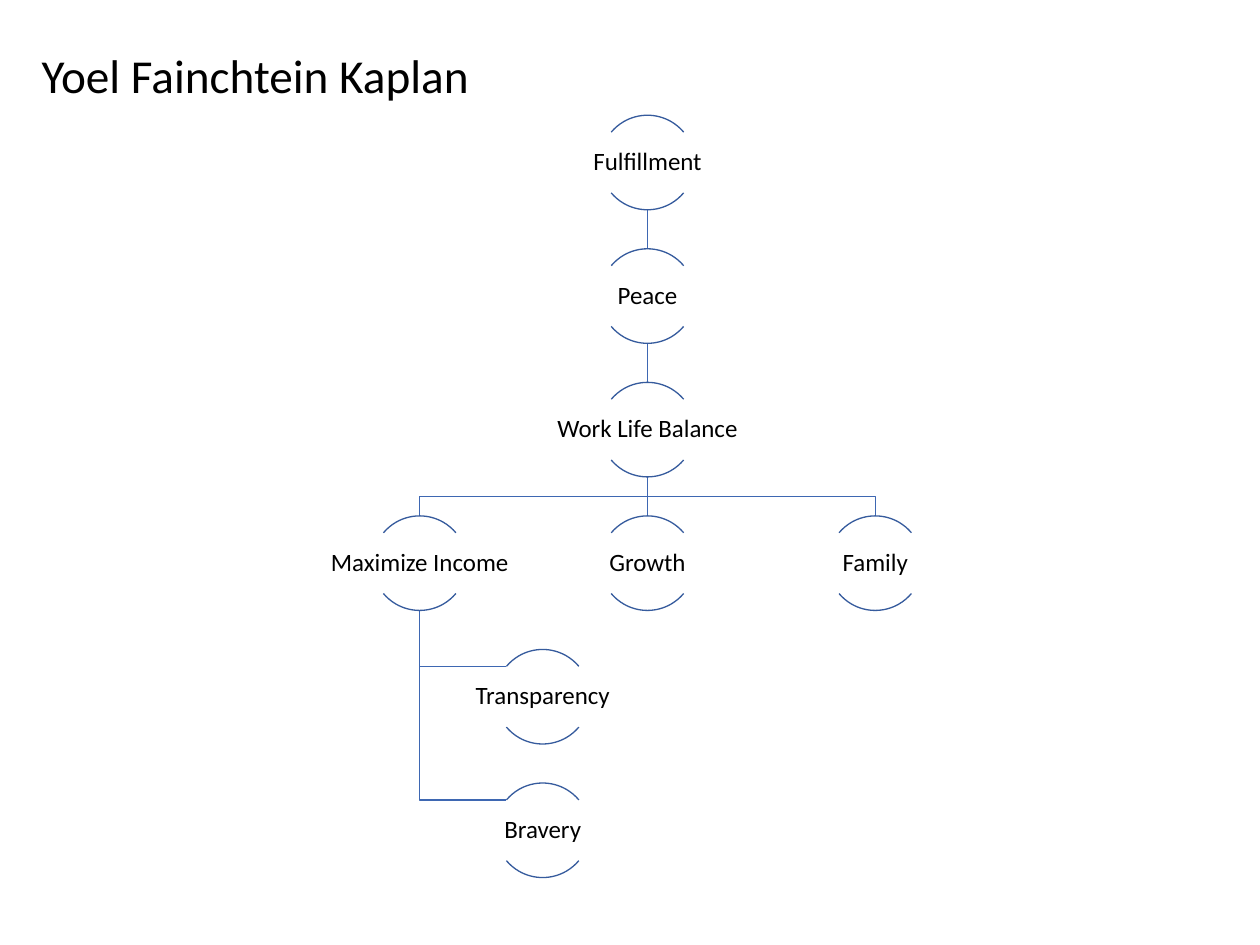
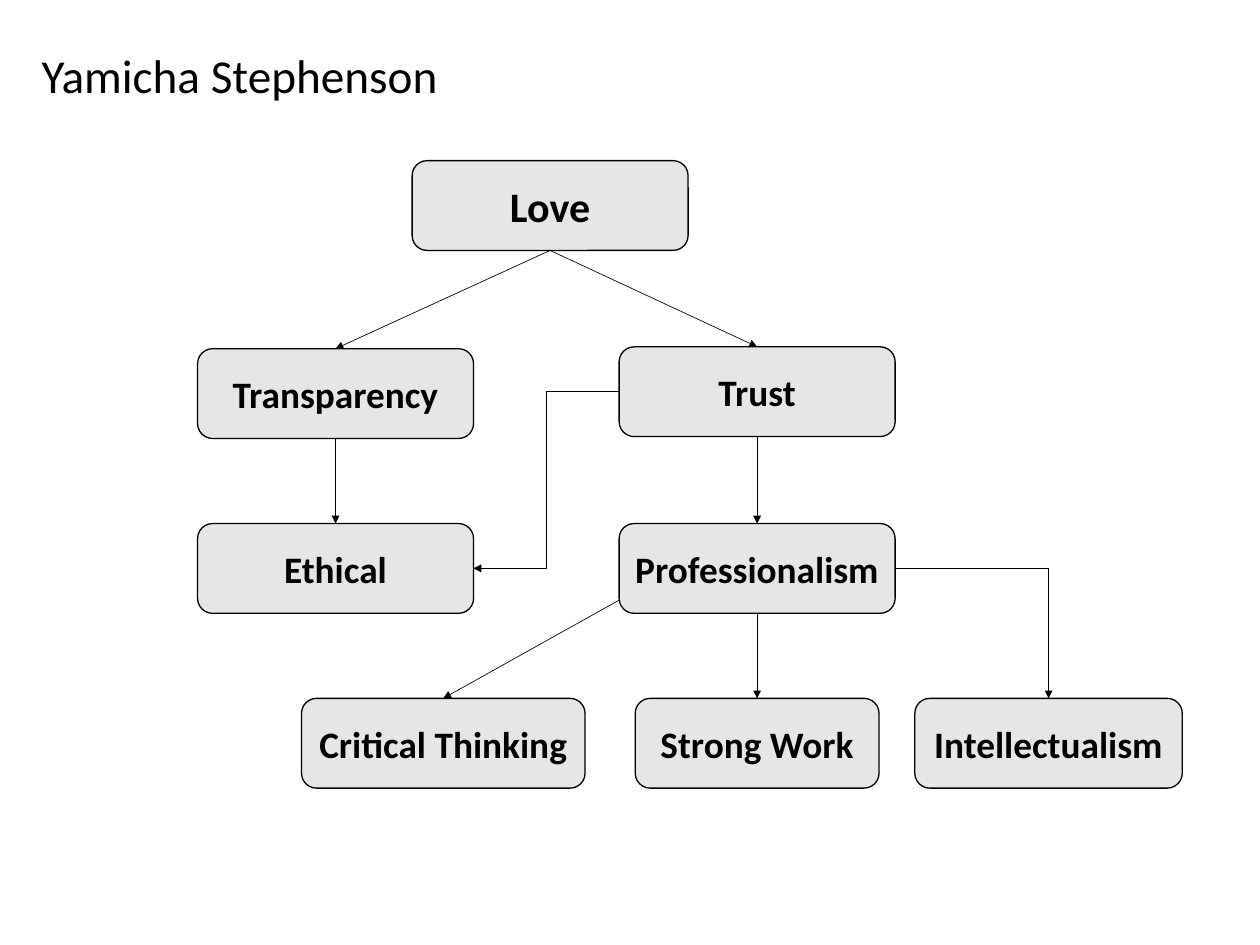
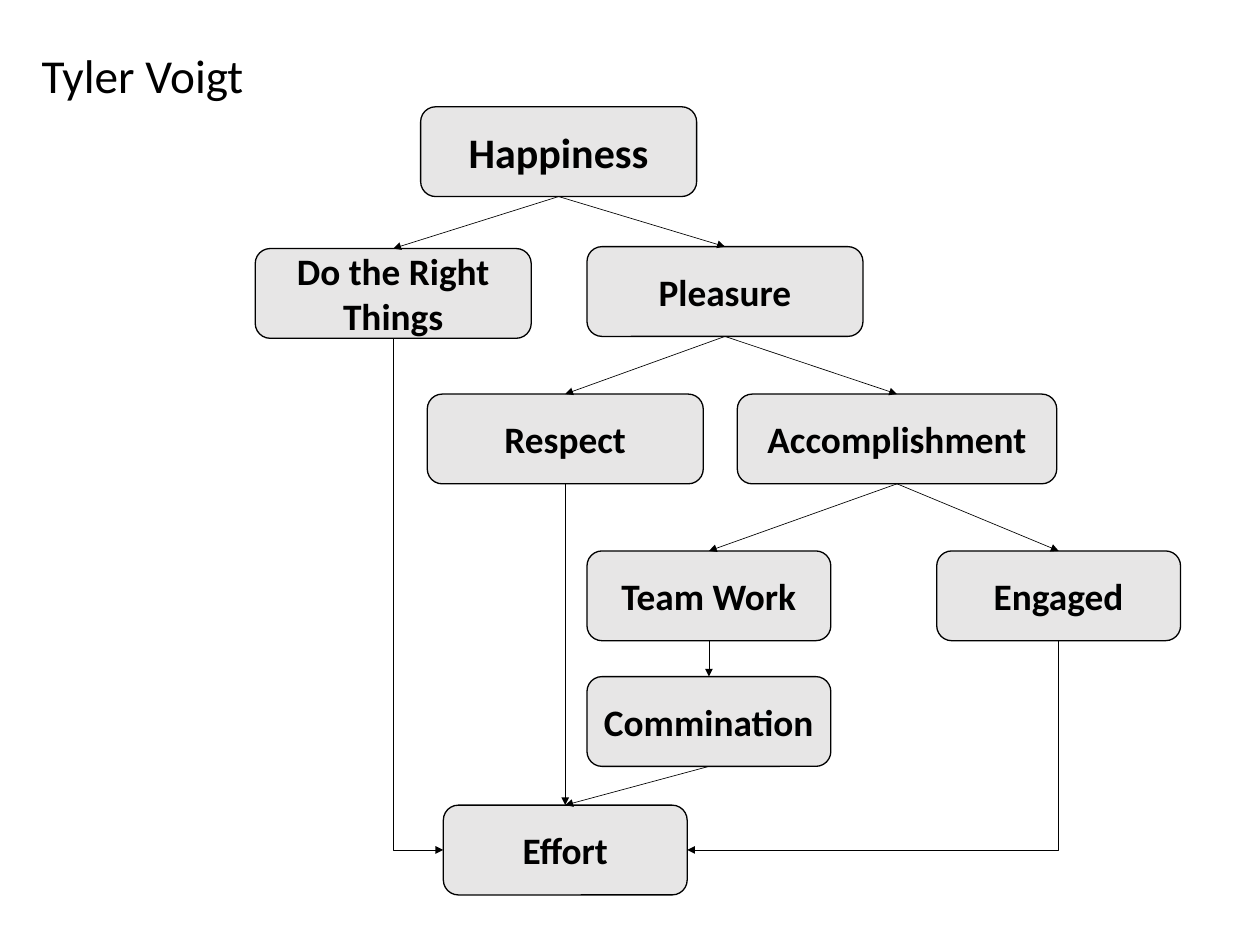
from lxml import etree
from pptx import Presentation
from pptx.dml.color import RGBColor
from pptx.enum.shapes import MSO_CONNECTOR, MSO_SHAPE
from pptx.enum.text import MSO_ANCHOR, MSO_AUTO_SIZE, PP_ALIGN
from pptx.oxml.ns import qn
from pptx.util import Inches, Pt

STRAIGHT, ELBOW = MSO_CONNECTOR.STRAIGHT, MSO_CONNECTOR.ELBOW
ARC, ROUNDED = MSO_SHAPE.ARC, MSO_SHAPE.ROUNDED_RECTANGLE
MIDDLE, NO_FIT = MSO_ANCHOR.MIDDLE, MSO_AUTO_SIZE.NONE
LEFT, CENTER = PP_ALIGN.LEFT, PP_ALIGN.CENTER
TOP_SIDE, LEFT_SIDE, BOTTOM_SIDE, RIGHT_SIDE = range(4)

# The page is a grid of 40 columns and 30 rows of square cells
WIDTH, HEIGHT = Inches(13.33), Inches(10)
CELL = HEIGHT / 30

FONT = "Calibri"
BLACK, GREY = "000000", "E7E6E6"
ARC_BLUE, LINK_BLUE = "365B9D", "3E67B2"

# Box size in cells
BOX_WIDTH, NARROW, BOX_HEIGHT = 8.76, 7.74, 2.85

# Circle tree in cells: first centre, first top, steps and sizes
TREE_LEFT, TREE_TOP, COLUMN_STEP, ROW_STEP = 13.32, 3.66, 7.23, 4.24
CIRCLE, LABEL_WIDTH, LABEL_HEIGHT = 3, 5.97, 1.92
ARC_REACH, ARC_DEPTH = 1.15, 0.54
ARC_ANGLES = [(220, 320), (40, 140)]

# Goal: (column, row) in the tree
GOALS = {
    "Fulfillment": (1, 0),
    "Peace": (1, 1),
    "Work Life Balance": (1, 2),
    "Maximize Income": (0, 3),
    "Growth": (1, 3),
    "Family": (2, 3),
    "Transparency": (0.54, 4),
    "Bravery": (0.54, 5),
}
GOAL_LINKS = [
    ("Fulfillment", "Peace"),
    ("Peace", "Work Life Balance"),
    ("Work Life Balance", "Maximize Income"),
    ("Work Life Balance", "Growth"),
    ("Work Life Balance", "Family"),
]
HANGING_LINKS = [
    ("Maximize Income", "Transparency"),
    ("Maximize Income", "Bravery"),
]


def cells(count):
    return round(count * CELL)


def color(value):
    return RGBColor.from_string(value)


def write(shape, text, size, bold=False, align=CENTER, inset=None, spacing=None):
    frame = shape.text_frame
    frame.auto_size, frame.word_wrap = NO_FIT, True
    frame.vertical_anchor = MIDDLE
    if inset is not None:
        frame.margin_left = frame.margin_right = Inches(inset)
        frame.margin_top = frame.margin_bottom = Inches(inset)
    para = frame.paragraphs[0]
    para.alignment = align
    if spacing:
        para.line_spacing = spacing
    span = para.add_run()
    span.text = text
    span.font.name, span.font.size, span.font.bold = FONT, Pt(size), bold
    span.font.color.rgb = color(BLACK)


def outline(shape, value, width):
    shape.line.color.rgb = color(value)
    shape.line.width = Pt(width)


def add_page(deck, name):
    page = deck.slides.add_slide(deck.slide_layouts[5])
    title = page.shapes.title
    title.left, title.top = Inches(0.34), Inches(0.43)
    title.width, title.height = Inches(10.48), Inches(0.71)
    write(title, name, 36, align=LEFT)
    return page


def add_line(page, kind, start, end, value, width):
    line = page.shapes.add_connector(kind, *map(cells, start + end))
    outline(line, value, width)
    etree.SubElement(line.element.spPr, qn("a:effectLst"))
    return line


# Circle tree
def goal_place(goal):
    column, row = GOALS[goal]
    return TREE_LEFT + column * COLUMN_STEP, TREE_TOP + row * ROW_STEP


def add_goal(page, goal):
    center, top = goal_place(goal)
    for angles in ARC_ANGLES:
        arc = page.shapes.add_shape(ARC, cells(center - CIRCLE / 2), cells(top),
                                    cells(CIRCLE), cells(CIRCLE))
        for index, angle in enumerate(angles):
            arc.adjustments[index] = angle * 0.6
        arc.shadow.inherit = False
        arc.fill.background()
        outline(arc, ARC_BLUE, 1)
    label = page.shapes.add_textbox(cells(center - LABEL_WIDTH / 2), cells(top + ARC_DEPTH),
                                    cells(LABEL_WIDTH), cells(LABEL_HEIGHT))
    write(label, goal, 19, inset=0.01, spacing=0.9)


def add_polyline(page, points):
    points = [(cells(x), cells(y)) for x, y in points]
    builder = page.shapes.build_freeform(*points[0], scale=1.0)
    builder.add_line_segments(points[1:], close=False)
    line = builder.convert_to_shape()
    line.shadow.inherit = False
    line.fill.background()
    outline(line, LINK_BLUE, 1)


def link_goals(page, parent, child):
    x, top = goal_place(parent)
    child_x, child_top = goal_place(child)
    bottom = top + CIRCLE
    if x == child_x:
        add_line(page, STRAIGHT, (x, bottom), (x, child_top), LINK_BLUE, 1)
        return
    middle = (bottom + child_top) / 2
    add_polyline(page, [(x, bottom), (x, middle), (child_x, middle), (child_x, child_top)])


def hang_goal(page, parent, child):
    x, top = goal_place(parent)
    child_x, child_top = goal_place(child)
    turn = child_top + ARC_DEPTH
    add_polyline(page, [(x, top + CIRCLE), (x, turn), (child_x - ARC_REACH, turn)])


def add_circle_tree(deck, name):
    page = add_page(deck, name)
    for parent, child in HANGING_LINKS:
        hang_goal(page, parent, child)
    for parent, child in GOAL_LINKS:
        link_goals(page, parent, child)
    for goal in GOALS:
        add_goal(page, goal)


# Box diagrams
def add_box(page, text, center, top, width=BOX_WIDTH, size=28.4):
    box = page.shapes.add_shape(ROUNDED, cells(center - width / 2), cells(top),
                                cells(width), cells(BOX_HEIGHT))
    box.shadow.inherit = False
    box.fill.solid()
    box.fill.fore_color.rgb = color(GREY)
    outline(box, BLACK, 1)
    write(box, text, size, bold=True)
    return box


def add_arrow(page, kind=STRAIGHT, start=(0, 0), begin=None, end=None, tip="a:tailEnd"):
    """Join (box, side) pairs; without begin the arrow leaves from start."""
    arrow = add_line(page, kind, start, (0, 0), BLACK, 0.5)
    if begin:
        arrow.begin_connect(*begin)
    arrow.end_connect(*end)
    etree.SubElement(arrow.line._get_or_add_ln(), qn(tip), type="triangle")
    return arrow


def add_corner(page, side, target, tip="a:tailEnd"):
    """One-bend arrow that leaves sideways and arrives vertically."""
    arrow = add_arrow(page, ELBOW, begin=side, end=target, tip=tip)
    arrow.element.spPr.find(qn("a:prstGeom")).set("prst", "bentConnector2")


def add_down_arrows(page, pairs):
    for upper, lower in pairs:
        add_arrow(page, begin=(upper, BOTTOM_SIDE), end=(lower, TOP_SIDE))


def add_love_diagram(deck, name):
    page = add_page(deck, name)
    middle_row, bottom_row, right = 16.62, 22.17, 24.03
    critical = add_box(page, "Critical Thinking", 14.07, bottom_row, 9)
    # This arrow starts behind the Professionalism box
    add_arrow(page, start=(20.46, 18.6), end=(critical, TOP_SIDE))
    love = add_box(page, "Love", 17.46, 5.1, size=32)
    transparency = add_box(page, "Transparency", 10.65, 11.07)
    trust = add_box(page, "Trust", right, 11.01)
    ethical = add_box(page, "Ethical", 10.65, middle_row)
    professional = add_box(page, "Professionalism", right, middle_row)
    strong = add_box(page, "Strong Work", right, bottom_row, NARROW)
    intellect = add_box(page, "Intellectualism", 33.28, bottom_row, 8.49)
    add_down_arrows(page, [(love, transparency), (love, trust), (transparency, ethical),
                           (trust, professional), (professional, strong)])
    add_arrow(page, ELBOW, begin=(trust, LEFT_SIDE), end=(ethical, RIGHT_SIDE))
    add_corner(page, (professional, RIGHT_SIDE), (intellect, TOP_SIDE))


def add_happiness_diagram(deck, name):
    page = add_page(deck, name)
    second_row, third_row, center, team_x = 12.51, 17.49, 17.94, 22.5
    happiness = add_box(page, "Happiness", 17.73, 3.39, size=32)
    right_things = add_box(page, "Do the Right Things", 12.48, 7.89)
    pleasure = add_box(page, "Pleasure", 23.01, 7.83)
    respect = add_box(page, "Respect", center, second_row)
    accomplishment = add_box(page, "Accomplishment", 28.47, second_row, 10.14)
    team = add_box(page, "Team Work", team_x, third_row, NARROW)
    engaged = add_box(page, "Engaged", 33.6, third_row, NARROW)
    commination = add_box(page, "Commination", team_x, 21.48, NARROW)
    effort = add_box(page, "Effort", center, 25.56, NARROW)
    add_down_arrows(page, [(happiness, right_things), (happiness, pleasure),
                           (pleasure, respect), (pleasure, accomplishment),
                           (accomplishment, team), (accomplishment, engaged),
                           (team, commination), (commination, effort), (respect, effort)])
    # Both corners point at Effort, so the tip sits at their beginning
    for side, source in [(LEFT_SIDE, right_things), (RIGHT_SIDE, engaged)]:
        add_corner(page, (effort, side), (source, BOTTOM_SIDE), tip="a:headEnd")


def main():
    deck = Presentation()
    deck.slide_width, deck.slide_height = WIDTH, HEIGHT
    add_circle_tree(deck, "Yoel Fainchtein Kaplan")
    add_love_diagram(deck, "Yamicha Stephenson")
    add_happiness_diagram(deck, "Tyler Voigt")
    deck.save("out.pptx")


if __name__ == "__main__":
    main()
